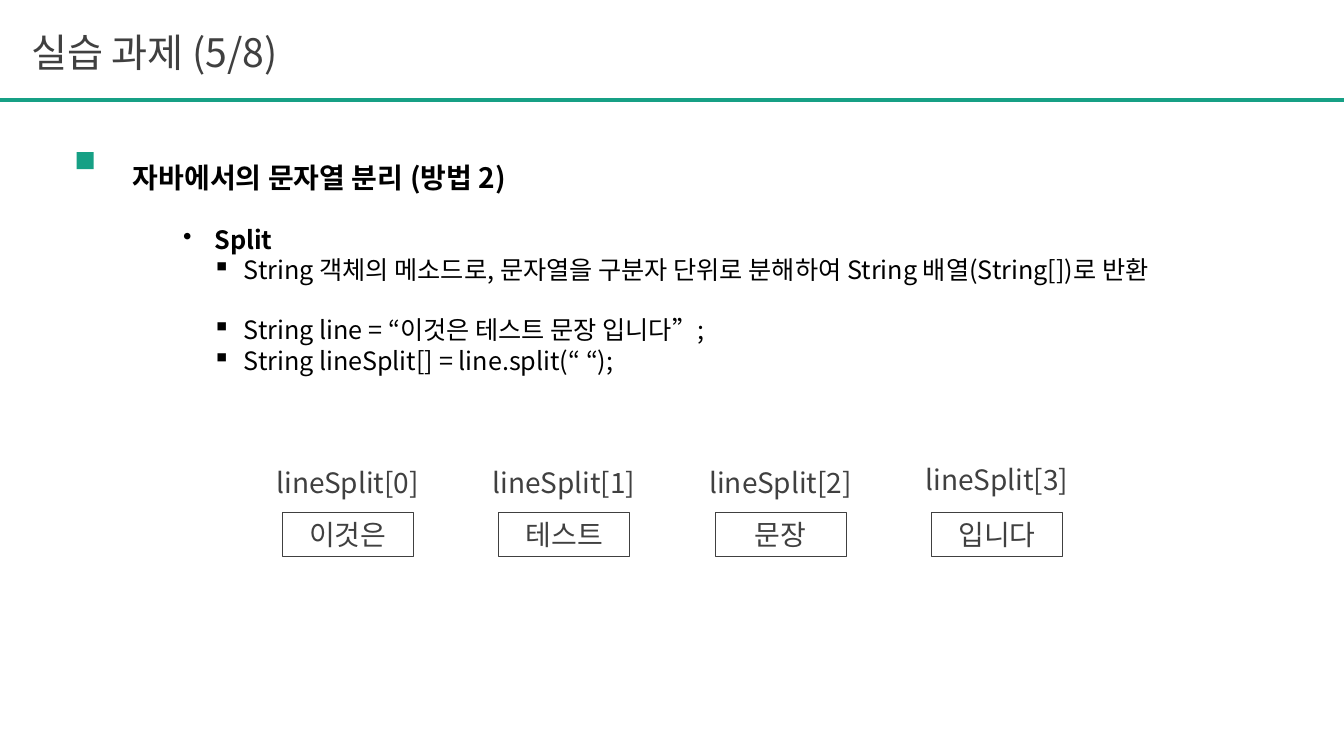
from dataclasses import dataclass

from lxml.etree import SubElement
from pptx import Presentation
from pptx.dml.color import RGBColor
from pptx.enum.shapes import MSO_CONNECTOR, MSO_SHAPE
from pptx.enum.text import MSO_ANCHOR, PP_ALIGN
from pptx.oxml.ns import qn
from pptx.util import Pt


@dataclass(frozen=True)
class Theme:
    font: str = "Noto Sans CJK KR"
    accent: RGBColor = RGBColor(0x16, 0xA0, 0x85)
    gray: RGBColor = RGBColor(0x40, 0x40, 0x40)
    black: RGBColor = RGBColor(0, 0, 0)
    title_size: int = 28
    heading_size: int = 20
    body_size: int = 18


THEME = Theme()
TITLE = "실습 과제 (5/8)"
HEADING = "자바에서의 문자열 분리 (방법 2)"
BULLETS = [
    {"text": "Split", "mark": "•", "margin": 58.3, "bold": True, "before": 21.5},
    {"text": "String 객체의 메소드로, 문자열을 구분자 단위로 분해하여 String 배열(String[])로 반환",
     "mark": "▪", "margin": 79.2},
    {"text": "String line = “이것은 테스트 문장 입니다”;",
     "mark": "▪", "margin": 79.2, "before": 21.5},
    {"text": "String lineSplit[] = line.split(“ “);", "mark": "▪", "margin": 79.2},
]
WORDS = ["이것은", "테스트", "문장", "입니다"]
LABEL_TOPS = [329, 329, 329, 327]
FIRST_CENTER, COLUMN_STEP = 248.4, 154.6
BOX_TOP, BOX_WIDTH, LABEL_WIDTH, ROW_HEIGHT = 365.8, 93.6, 128.2, 31.7
HANGING = 22.3

presentation = Presentation()
presentation.slide_width, presentation.slide_height = Pt(960), Pt(540)
slide = presentation.slides.add_slide(presentation.slide_layouts[6])


def write(paragraph, text, size, color, align, bold=False):
    paragraph.text = text
    paragraph.alignment = align
    font = paragraph.font
    font.name, font.size, font.bold = THEME.font, Pt(size), bold
    font.color.rgb = color
    SubElement(paragraph.font._element, qn("a:ea"), typeface=THEME.font)


def add_text(left, top, width, height):
    frame = slide.shapes.add_textbox(Pt(left), Pt(top), Pt(width), Pt(height)).text_frame
    frame.word_wrap = True
    return frame


def add_rectangle(left, top, width, height):
    shape = slide.shapes.add_shape(
        MSO_SHAPE.RECTANGLE, Pt(left), Pt(top), Pt(width), Pt(height))
    shape.shadow.inherit = False
    return shape


def add_bullet(paragraph, mark, margin):
    properties = paragraph._p.get_or_add_pPr()
    properties.set("marL", str(Pt(margin)))
    properties.set("indent", str(-Pt(HANGING)))
    bullet = SubElement(properties, qn("a:buChar"), char=mark)
    properties.find(qn("a:defRPr")).addprevious(bullet)


rule = slide.shapes.add_connector(MSO_CONNECTOR.STRAIGHT, 0, Pt(71.3), Pt(960), Pt(71.3))
rule.line.color.rgb, rule.line.width = THEME.accent, Pt(3)
SubElement(rule._element.spPr, qn("a:effectLst"))

title = add_text(15.1, 16.6, 730.8, 41)
write(title.paragraphs[0], TITLE, THEME.title_size, THEME.gray, PP_ALIGN.LEFT)

body = add_text(87.8, 87.1, 856.8, 230.4)
heading = body.paragraphs[0]
write(heading, HEADING, THEME.heading_size, THEME.black, PP_ALIGN.JUSTIFY, True)
heading.line_spacing = 2.0
for item in BULLETS:
    paragraph = body.add_paragraph()
    write(paragraph, item["text"], THEME.body_size, THEME.black, PP_ALIGN.JUSTIFY,
          item.get("bold", False))
    paragraph.space_before = Pt(item.get("before", 0))
    add_bullet(paragraph, item["mark"], item["margin"])

marker = add_rectangle(54.7, 108.7, 12.2, 12.2)
marker.fill.solid()
marker.fill.fore_color.rgb = THEME.accent
marker.line.fill.background()

for index, (word, label_top) in enumerate(zip(WORDS, LABEL_TOPS)):
    center = FIRST_CENTER + index * COLUMN_STEP
    box = add_rectangle(center - BOX_WIDTH / 2, BOX_TOP, BOX_WIDTH, ROW_HEIGHT)
    box.fill.background()
    box.line.color.rgb, box.line.width = THEME.gray, Pt(0.75)
    box.text_frame.vertical_anchor = MSO_ANCHOR.MIDDLE
    label = add_text(center - LABEL_WIDTH / 2, label_top, LABEL_WIDTH, ROW_HEIGHT)
    for frame, text in ((box.text_frame, word), (label, f"lineSplit[{index}]")):
        write(frame.paragraphs[0], text, THEME.heading_size, THEME.gray, PP_ALIGN.CENTER)

presentation.save("out.pptx")
